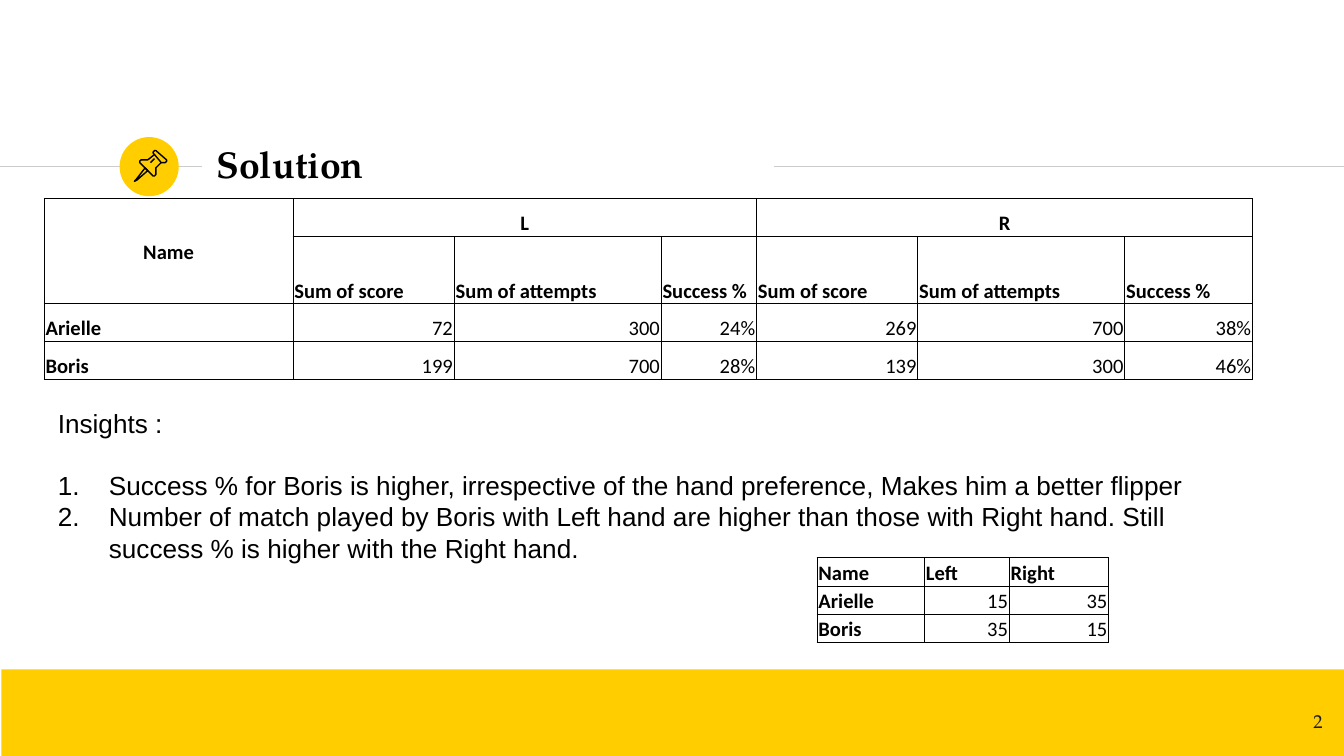
from lxml.etree import SubElement
from pptx import Presentation
from pptx.dml.color import RGBColor
from pptx.enum.shapes import MSO_CONNECTOR, MSO_SHAPE
from pptx.enum.text import MSO_ANCHOR, MSO_AUTO_SIZE, PP_ALIGN
from pptx.oxml.ns import qn
from pptx.util import Inches, Pt

COLORS = {name: RGBColor.from_string(value) for name, value in {
    "yellow": "FFCD00", "rule": "CCCCCC", "black": "000000", "number": "1D1D1B",
}.items()}
SERIF = "TeX Gyre Pagella"


def add_text(para, text, font, size, color="black", bold=False):
    span = para.add_run()
    span.text = text
    span.font.name = font
    span.font.size = Pt(size)
    span.font.bold = bold
    span.font.color.rgb = COLORS[color]


def add_grid(left, top, widths, heights, rows, header_rows, merges=()):
    """Bordered table; each merge is (first row, first column, last row, last column)."""
    table = page.shapes.add_table(
        len(rows), len(widths), Inches(left), Inches(top),
        Inches(sum(widths)), Inches(sum(heights))).table
    table.first_row = table.horz_banding = False
    for column, width in zip(table.columns, widths):
        column.width = Inches(width)
    for row, height in zip(table.rows, heights):
        row.height = Inches(height)
    for first_row, first_col, last_row, last_col in merges:
        table.cell(first_row, first_col).merge(table.cell(last_row, last_col))
    for r, row in enumerate(rows):
        for c, text in enumerate(row):
            cell = table.cell(r, c)
            cell.margin_left = cell.margin_right = cell.margin_top = Inches(0.01)
            cell.margin_bottom = 0
            cell.vertical_anchor = MSO_ANCHOR.BOTTOM
            for side in ("a:lnL", "a:lnR", "a:lnT", "a:lnB"):
                border = SubElement(cell._tc.tcPr, qn(side), w=str(Pt(0.5)))
                fill = SubElement(border, qn("a:solidFill"))
                SubElement(fill, qn("a:srgbClr"), val=str(COLORS["black"]))
            cell.fill.background()
            if text:
                number = r >= header_rows and c > 0
                para = cell.text_frame.paragraphs[0]
                para.alignment = PP_ALIGN.RIGHT if number else PP_ALIGN.LEFT
                add_text(para, text, "Calibri", 11, bold=not number)
    for first_row, first_col, last_row, last_col in merges:
        cell = table.cell(first_row, first_col)
        cell.text_frame.paragraphs[0].alignment = PP_ALIGN.CENTER
        if last_row > first_row:
            cell.vertical_anchor = MSO_ANCHOR.MIDDLE


# Widescreen page, 16 to 9
deck = Presentation()
deck.slide_width = Inches(10)
deck.slide_height = deck.slide_width * 9 // 16
page = deck.slides.add_slide(deck.slide_layouts[1])

# Rules on both sides of the title
for start, end in ((0, 1.5), (5.76, 10)):
    rule = page.shapes.add_connector(
        MSO_CONNECTOR.STRAIGHT, Inches(start), Inches(1.24), Inches(end), Inches(1.24))
    rule.line.color.rgb = COLORS["rule"]
    rule.line.width = Pt(0.75)
    SubElement(rule._element.spPr, qn("a:effectLst"))

# Icon disc and footer band
for kind, left, top, width, height in (
        (MSO_SHAPE.OVAL, 0.89, 1.02, 0.44, 0.44),
        (MSO_SHAPE.RECTANGLE, 0.01, 4.98, 10, 0.65)):
    shape = page.shapes.add_shape(
        kind, Inches(left), Inches(top), Inches(width), Inches(height))
    shape.shadow.inherit = False
    shape.fill.solid()
    shape.fill.fore_color.rgb = COLORS["yellow"]
    shape.line.fill.background()

# Pushpin outlines, in hundredths of an inch
needle = [(108, 125), (101, 134), (100, 135), (102, 134), (110, 127)]
cap = [(115, 115), (120, 121), (122, 121), (123, 121), (124, 120), (124, 119),
       (116, 112), (115, 112), (114, 113), (114, 114)]
body = [(115, 115), (110, 119), (107, 119), (105, 119), (104, 120), (104, 121),
        (114, 131), (115, 131), (116, 130), (116, 128), (116, 125), (120, 121)]
shine = [(112, 121), (115, 118)]
for points, closed in ((needle, True), (cap, True), (body, False), (shine, False)):
    builder = page.shapes.build_freeform(*points[0], scale=Inches(0.01))
    builder.add_line_segments(points[1:], close=closed)
    outline = builder.convert_to_shape()
    outline.shadow.inherit = False
    outline.fill.background()
    outline.line.color.rgb = COLORS["black"]
    outline.line.width = Pt(0.75)

# Title
title = page.shapes.title
title.left, title.top, title.width, title.height = map(Inches, (1.51, 0.98, 4.24, 0.48))
frame = title.text_frame
frame.auto_size = MSO_AUTO_SIZE.NONE
frame.margin_left = frame.margin_right = frame.margin_top = frame.margin_bottom = Inches(0.1)
frame.vertical_anchor = MSO_ANCHOR.MIDDLE
frame.paragraphs[0].alignment = PP_ALIGN.LEFT
add_text(frame.paragraphs[0], "Solution", SERIF, 20, bold=True)

# Success by hand
measures = ["Sum of score", "Sum of attempts", "Success %"]
add_grid(
    0.33, 1.48, [1.85, 1.2, 1.54, 0.71, 1.2, 1.54, 0.95], [0.28, 0.5, 0.28, 0.28],
    [["Name", "L", "", "", "R", "", ""],
     [""] + measures * 2,
     ["Arielle", "72", "300", "24%", "269", "700", "38%"],
     ["Boris", "199", "700", "28%", "139", "300", "46%"]],
    header_rows=2, merges=[(0, 0, 1, 0), (0, 1, 0, 3), (0, 4, 0, 6)])

# Insights
insights = page.placeholders[1]
insights.left, insights.top, insights.width, insights.height = map(
    Inches, (0.33, 2.98, 9, 1.51))
frame = insights.text_frame
frame.auto_size = MSO_AUTO_SIZE.NONE
frame.vertical_anchor = MSO_ANCHOR.TOP
for index, text in enumerate((
        "Insights :",
        "Success % for Boris is higher, irrespective of the hand preference, "
        "Makes him a better flipper",
        "Number of match played by Boris with Left hand are higher than those with "
        "Right hand. Still success % is higher with the Right hand.")):
    para = frame.add_paragraph() if index else frame.paragraphs[0]
    para.space_before = Pt(0)
    para.space_after = Pt(0 if index else 16.5)
    properties = para._p.get_or_add_pPr()
    indent = Inches(0.38) if index else 0
    properties.set("marL", str(indent))
    properties.set("indent", str(-indent))
    if index:
        SubElement(properties, qn("a:buFont"), typeface="Arial")
        SubElement(properties, qn("a:buAutoNum"), type="arabicPeriod")
    else:
        SubElement(properties, qn("a:buNone"))
    add_text(para, text, "Arial", 14)

# Matches by hand
add_grid(
    6.08, 4.15, [0.8, 0.63, 0.74], [0.21] * 3,
    [["Name", "Left", "Right"], ["Arielle", "15", "35"], ["Boris", "35", "15"]],
    header_rows=1)

# Page number
box = page.shapes.add_textbox(Inches(9.34), Inches(5.2), Inches(0.6), Inches(0.43))
frame = box.text_frame
frame.word_wrap = True
frame.margin_left = frame.margin_right = frame.margin_top = frame.margin_bottom = Inches(0.1)
frame.paragraphs[0].alignment = PP_ALIGN.RIGHT
add_text(frame.paragraphs[0], "2", SERIF, 10, "number")

deck.save("out.pptx")
